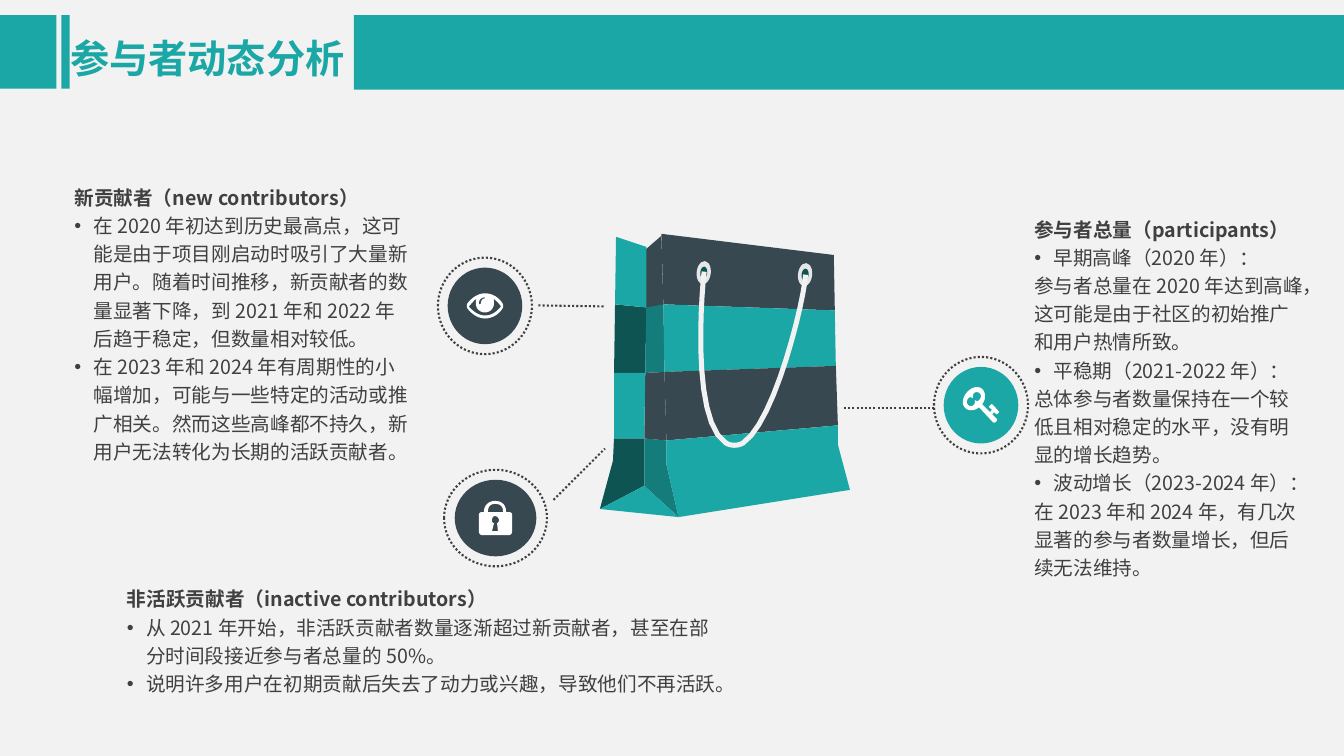
from dataclasses import dataclass
from typing import NamedTuple

from lxml.etree import SubElement
from pptx import Presentation
from pptx.dml.color import RGBColor
from pptx.enum.dml import MSO_LINE as Dash
from pptx.enum.shapes import MSO_CONNECTOR as Link, MSO_SHAPE as Shape
from pptx.enum.text import MSO_ANCHOR as Anchor
from pptx.oxml.ns import qn
from pptx.util import Inches, Pt

# Grid of 1333 columns by 750 rows
COLS, ROWS = 1333, 750
CELL = Inches(0.01)

FONT = "Noto Sans CJK SC"
TEAL = RGBColor(0x1B, 0xA7, 0xA5)
MID_TEAL = RGBColor(0x14, 0x7D, 0x7C)
DEEP_TEAL = RGBColor(0x0D, 0x54, 0x53)
SLATE = RGBColor(0x37, 0x48, 0x51)
INK = RGBColor(0x40, 0x40, 0x40)
PAPER = RGBColor(0xF2, 0xF2, 0xF2)
SILVER = RGBColor(0xE6, 0xE6, 0xE6)
WHITE = RGBColor(0xFF, 0xFF, 0xFF)

# A contour starts at a point; pairs are lines, sextuples are cubic curves
Contour = list[tuple[float, ...]]


class Box(NamedTuple):
    col: float
    row: float
    cols: float
    rows: float


@dataclass
class Face:
    color: RGBColor
    corners: Contour


@dataclass
class Badge:
    center: tuple[float, float]
    disc: tuple[float, float]
    color: RGBColor
    icon: list[Contour]
    link: tuple[float, float, float, float]


class Para(NamedTuple):
    text: str
    bullet: bool = True


@dataclass
class Note:
    box: Box
    heading: str
    paras: list[Para]


BANDS = [Box(0, 15, 56, 73), Box(61, 15, 8, 73), Box(351, 15, 982, 74)]

EYE = [
    [(499, 305), (496, 311, 489, 316, 481, 316), (474, 316, 467, 311, 463, 305), (463, 302),
     (467, 296, 474, 291, 481, 291), (489, 291, 496, 296, 499, 302)],
    [(489, 296), (490, 297, 490, 299, 490, 301), (490, 306, 486, 310, 481, 310),
     (476, 310, 472, 306, 472, 301), (472, 299, 472, 297, 473, 296),
     (470, 298, 468, 301, 465, 304), (469, 309, 475, 313, 481, 313),
     (488, 313, 493, 309, 497, 304), (495, 301, 492, 298, 489, 296)],
    [(481, 295), (478, 295, 475, 297, 475, 301), (476, 302), (477, 301),
     (477, 298, 479, 296, 481, 296)],
]
LOCK = [
    [(504, 508), (502, 508), (502, 501, 498, 497, 491, 497), (485, 497, 480, 501, 480, 508),
     (479, 508), (476, 508, 475, 509, 475, 511), (475, 527), (475, 529, 476, 531, 479, 531),
     (504, 531), (507, 531, 508, 529, 508, 527), (508, 511), (508, 509, 507, 508, 504, 508)],
    [(494, 527), (488, 527), (490, 519), (488, 519, 488, 517, 488, 516),
     (488, 514, 489, 512, 491, 512), (493, 512, 495, 514, 495, 516),
     (495, 517, 494, 519, 493, 519)],
    [(484, 508), (484, 501, 488, 500, 491, 500), (495, 500, 499, 501, 499, 508)],
]
KEY = [
    [(989, 411), (988, 411, 986, 409, 986, 409), (984, 411), (989, 416),
     (989, 418, 987, 420, 985, 419), (971, 404), (969, 406, 966, 407, 963, 407),
     (959, 407, 955, 404, 955, 399), (955, 392, 962, 384, 969, 384),
     (974, 384, 977, 388, 977, 393), (977, 396, 976, 399, 974, 401), (982, 409), (984, 406),
     (983, 406, 981, 404, 981, 404), (981, 403, 983, 401, 984, 401),
     (985, 402, 991, 408, 991, 409)],
    [(969, 389), (966, 389, 965, 391, 965, 393), (965, 395), (963, 394),
     (961, 394, 959, 396, 959, 399), (959, 401, 961, 403, 963, 403),
     (965, 403, 967, 401, 967, 399), (967, 397), (969, 398),
     (971, 398, 973, 395, 973, 393), (973, 391, 971, 389, 969, 389)],
]
RING_RATIO = 1.26
BADGES = [
    Badge((491.5, 514), (81, 76), SLATE, LOCK, (549, 496, 600, 445)),
    Badge((973, 402), (74, 76), TEAL, KEY, (837, 405, 927, 405)),
    Badge((481, 303.5), (74, 76), SLATE, EYE, (534, 303, 600, 304)),
]

FACES = [
    Face(SLATE, [(828, 308), (658, 302), (656, 232), (827, 253)]),
    Face(SLATE, [(656, 234), (658, 303), (641, 307), (641, 247)]),
    Face(DEEP_TEAL, [(609, 370), (610, 302), (641, 305), (640, 370)]),
    Face(DEEP_TEAL, [(609, 435), (639, 435), (639, 482), (595, 505), (608, 457)]),
    Face(MID_TEAL, [(640, 370), (641, 305), (658, 302), (659, 369)]),
    Face(MID_TEAL, [(639, 482), (639, 435), (661, 437), (661, 461), (673, 513)]),
    Face(TEAL, [(829, 363), (659, 369), (658, 302), (828, 308)]),
    Face(SLATE, [(831, 422), (661, 437), (659, 369), (829, 363)]),
    Face(TEAL, [(661, 437), (831, 422), (831, 441), (843, 486), (673, 513), (661, 461)]),
    Face(SLATE, [(659, 369), (661, 437), (639, 435), (640, 370)]),
    Face(TEAL, [(639, 435), (609, 435), (609, 370), (640, 370)]),
    Face(TEAL, [(595, 505), (639, 482), (673, 513)]),
    Face(TEAL, [(641, 305), (610, 302), (611, 235), (641, 245)]),
]
EYELETS = [(798.5, 272.5), (698, 270.5)]
EYELET_TILT = 6.1
HANDLE = [(698.5, 269.5), (697.5, 274, 683.5, 416.5, 720, 439.5),
          (725, 442.5, 732, 442.5, 737, 439.5), (769, 418, 798, 296, 799, 272.5)]

TITLE = Note(Box(60, 20, 293, 66), "参与者动态分析", [])
NOTES = [
    Note(Box(64, 172, 353, 295), "新贡献者（new contributors）", [
        Para("在 2020 年初达到历史最高点，这可能是由于项目刚启动时吸引了大量新用户。随着时间推移，"
             "新贡献者的数量显著下降，到 2021 年和 2022 年后趋于稳定，但数量相对较低。"),
        Para("在 2023 年和 2024 年有周期性的小幅增加，可能与一些特定的活动或推广相关。"
             "然而这些高峰都不持久，新用户无法转化为长期的活跃贡献者。")]),
    Note(Box(116, 551, 615, 166), "非活跃贡献者（inactive contributors）", [
        Para("从 2021 年开始，非活跃贡献者数量逐渐超过新贡献者，甚至在部分时间段接近参与者总量的 50%。"),
        Para("说明许多用户在初期贡献后失去了动力或兴趣，导致他们不再活跃。")]),
    Note(Box(1016, 189, 291, 408), "参与者总量（participants）", [
        Para("早期高峰（2020 年）："),
        Para("参与者总量在 2020 年达到高峰，这可能是由于社区的初始推广和用户热情所致。", False),
        Para("平稳期（2021-2022 年）："),
        Para("总体参与者数量保持在一个较低且相对稳定的水平，没有明显的增长趋势。", False),
        Para("波动增长（2023-2024 年）："),
        Para("在 2023 年和 2024 年，有几次显著的参与者数量增长，但后续无法维持。", False)]),
]


def cells(*values: float) -> list[int]:
    return [round(v * CELL) for v in values]


def centered(center: tuple[float, float], cols: float, rows: float) -> Box:
    return Box(center[0] - cols / 2, center[1] - rows / 2, cols, rows)


def paint(s, fill: RGBColor | None, line: RGBColor | None = None, width: float = 1.5) -> None:
    s.shadow.inherit = False
    if fill is None:
        s.fill.background()
    else:
        s.fill.solid()
        s.fill.fore_color.rgb = fill
    if line is None:
        s.line.fill.background()
    else:
        s.line.color.rgb = line
        s.line.width = Pt(width)


def add_preset(shapes, kind: Shape, box: Box, fill: RGBColor | None,
               line: RGBColor | None = None):
    s = shapes.add_shape(kind, *cells(*box))
    paint(s, fill, line)
    return s


def trace(contour: Contour, steps: int = 12) -> list[tuple[int, int]]:
    points = [contour[0]]
    for part in contour[1:]:
        if len(part) == 2:
            points.append(part)
            continue
        ends = [points[-1], part[:2], part[2:4], part[4:]]
        for t in (i / steps for i in range(1, steps + 1)):
            weights = ((1 - t) ** 3, 3 * t * (1 - t) ** 2, 3 * t * t * (1 - t), t ** 3)
            points.append(tuple(sum(w * e[axis] for w, e in zip(weights, ends))
                                for axis in (0, 1)))
    return [tuple(cells(*p)) for p in points]


def add_outline(shapes, contours: list[Contour], close: bool = True):
    traced = [trace(c) for c in contours]
    builder = shapes.build_freeform(*traced[0][0])
    for i, points in enumerate(traced):
        if i:
            builder.move_to(*points[0])
        builder.add_line_segments(points[1:], close=close)
    return builder.convert_to_shape()


def add_badge(shapes, badge: Badge) -> None:
    add_preset(shapes, Shape.OVAL, centered(badge.center, *badge.disc), badge.color)
    paint(add_outline(shapes, badge.icon), WHITE)
    ring = centered(badge.center, *(d * RING_RATIO for d in badge.disc))
    s = add_preset(shapes, Shape.OVAL, ring, None, INK)
    s.line.dash_style = Dash.ROUND_DOT
    link = shapes.add_connector(Link.STRAIGHT, *cells(*badge.link))
    link.line.color.rgb = INK
    link.line.width = Pt(1.5)
    link.line.dash_style = Dash.ROUND_DOT
    SubElement(link._element.spPr, qn("a:effectLst"))


def add_note(shapes, note: Note, size: float, color: RGBColor, wrap: bool = True) -> None:
    tf = shapes.add_textbox(*cells(*note.box)).text_frame
    tf.word_wrap = wrap
    tf.vertical_anchor = Anchor.MIDDLE
    paras = [Para(note.heading, False), *note.paras]
    tf.text = "\n".join(para.text for para in paras)
    for i, (p, para) in enumerate(zip(tf.paragraphs, paras)):
        if para.bullet:
            pPr = p._p.get_or_add_pPr()
            pPr.set("marL", str(19 * CELL))
            pPr.set("indent", str(-19 * CELL))
            SubElement(pPr, qn("a:buFont")).set("typeface", "Arial")
            SubElement(pPr, qn("a:buChar")).set("char", "•")
        p.line_spacing = 1.2
        for r in p.runs:
            r.font.size, r.font.bold, r.font.name = Pt(size), i == 0, FONT
            r.font.color.rgb = color
            rPr = r._r.get_or_add_rPr()
            rPr.set("lang", "zh-CN")
            SubElement(rPr, qn("a:ea")).set("typeface", FONT)


def main() -> None:
    prs = Presentation()
    prs.slide_width, prs.slide_height = cells(COLS, ROWS)
    slide = prs.slides.add_slide(prs.slide_layouts[6])
    slide.background.fill.solid()
    slide.background.fill.fore_color.rgb = PAPER
    shapes = slide.shapes

    # Header bands
    for band in BANDS:
        add_preset(shapes, Shape.RECTANGLE, band, TEAL)
    # Round badges with their dotted links
    for badge in BADGES:
        add_badge(shapes, badge)
    # Shopping bag
    for face in FACES:
        paint(add_outline(shapes, [face.corners]), face.color)
    for eyelet in EYELETS:
        for cols, rows, color in ((14, 23, SILVER), (7, 12, DEEP_TEAL)):
            s = add_preset(shapes, Shape.OVAL, centered(eyelet, cols, rows), color)
            s.rotation = EYELET_TILT
    paint(add_outline(shapes, [HANDLE], close=False), None, PAPER, 3.6)
    # Title and notes
    add_note(shapes, TITLE, 28, TEAL, wrap=False)
    for note in NOTES:
        add_note(shapes, note, 14, INK)

    prs.save("out.pptx")


if __name__ == "__main__":
    main()
